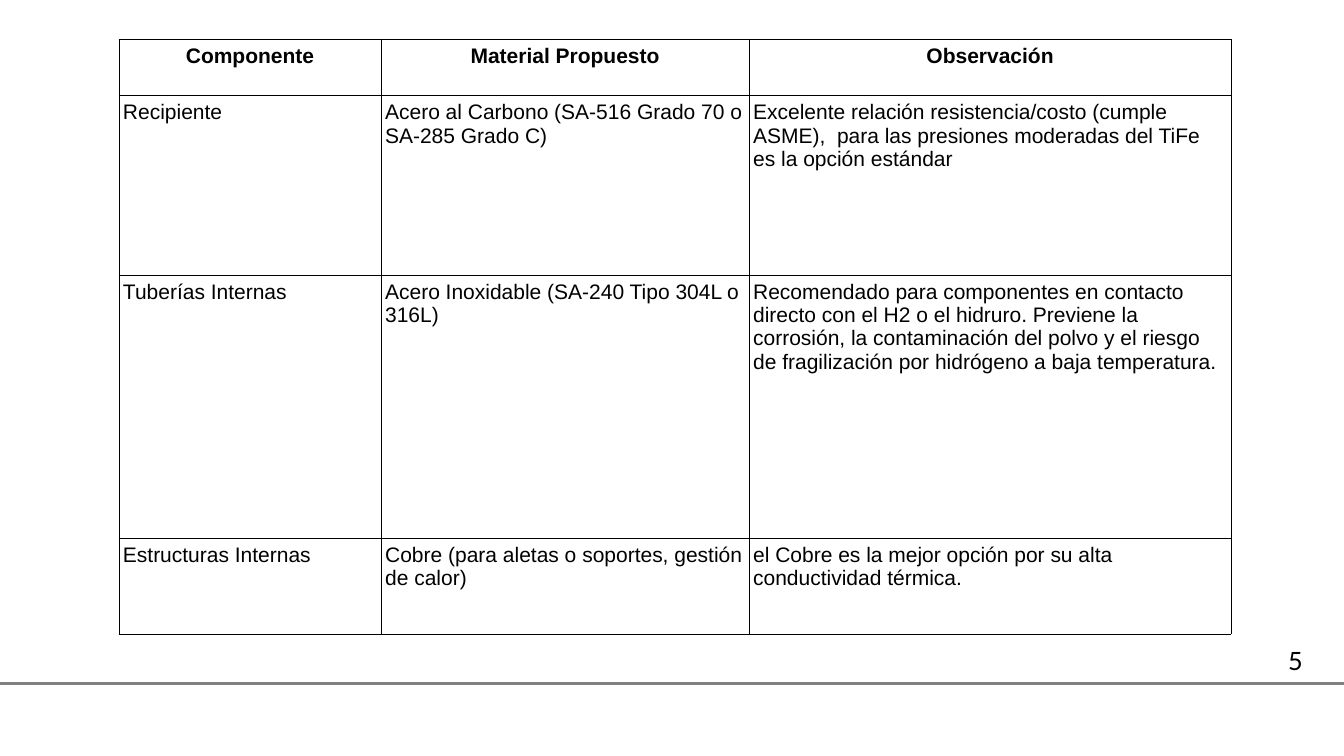
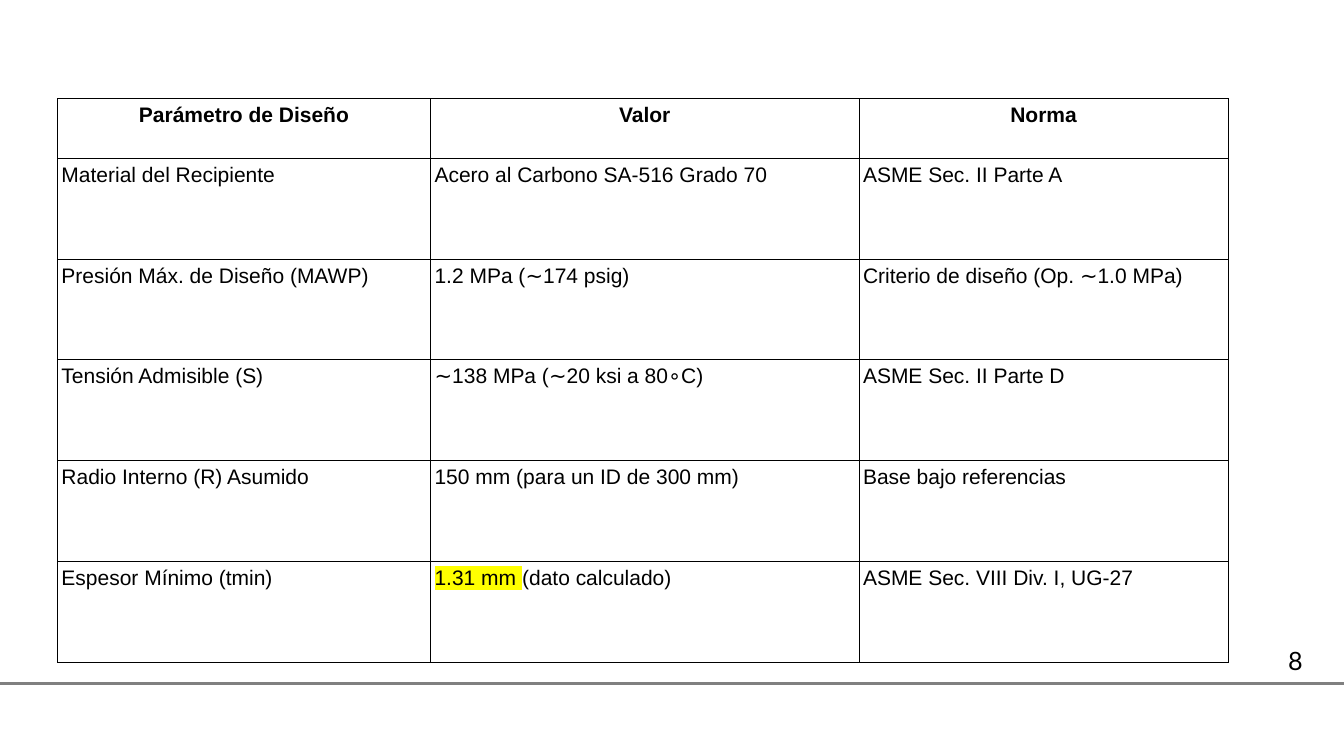
from dataclasses import dataclass

from lxml.etree import SubElement
from pptx import Presentation
from pptx.dml.color import RGBColor
from pptx.enum.text import PP_ALIGN
from pptx.oxml import parse_xml
from pptx.oxml.ns import nsdecls, qn
from pptx.util import Inches, Pt

WIDE, HIGH = 13.33, 7.5
BLACK, GRAY, YELLOW = "000000", "808080", "FFFF00"
RULE = 0.904
SIDES = ("lnL", "lnR", "lnT", "lnB")


@dataclass(frozen=True)
class Marked:
    lead: str
    rest: str


@dataclass(frozen=True)
class Grid:
    page: str
    left: float
    top: float
    cols: tuple[float, ...]
    rows: tuple[float, ...]
    cells: tuple[tuple[str | Marked, ...], ...]


GRIDS = (
    Grid("5", 1.18, 0.39, (2.6, 3.65, 4.78), (0.56, 1.78, 2.61, 0.95), (
        ("Componente", "Material Propuesto", "Observación"),
        ("Recipiente",
         "Acero al Carbono (SA-516 Grado 70 o SA-285 Grado C)",
         "Excelente relación resistencia/costo (cumple ASME),  para las "
         "presiones moderadas del TiFe es la opción estándar"),
        ("Tuberías Internas",
         "Acero Inoxidable (SA-240 Tipo 304L o 316L)",
         "Recomendado para componentes en contacto directo con el H2 o el "
         "hidruro. Previene la corrosión, la contaminación del polvo y el "
         "riesgo de fragilización por hidrógeno a baja temperatura."),
        ("Estructuras Internas",
         "Cobre (para aletas o soportes, gestión de calor)",
         "el Cobre es la mejor opción por su alta conductividad térmica."),
    )),
    Grid("8", 0.57, 0.98, (3.7, 4.25, 3.66), (0.59,) + (1,) * 5, (
        ("Parámetro de Diseño", "Valor", "Norma"),
        ("Material del Recipiente", "Acero al Carbono SA-516 Grado 70",
         "ASME Sec. II Parte A"),
        ("Presión Máx. de Diseño (MAWP)", "1.2 MPa (∼174 psig)",
         "Criterio de diseño (Op. ∼1.0 MPa)"),
        ("Tensión Admisible (S)", "∼138 MPa (∼20 ksi a 80∘C)",
         "ASME Sec. II Parte D"),
        ("Radio Interno (R) Asumido", "150 mm (para un ID de 300 mm)",
         "Base bajo referencias"),
        ("Espesor Mínimo (tmin)", Marked("1.31 mm ", "(dato calculado)"),
         "ASME Sec. VIII Div. I, UG-27"),
    )),
)


def color(code: str) -> RGBColor:
    return RGBColor.from_string(code)


def write(frame, text: str | Marked, *, font: str = "Arial", size: float = 15,
          bold: bool = False, align=PP_ALIGN.LEFT, after: float = 0) -> None:
    frame.word_wrap = True
    para = frame.paragraphs[0]
    para.alignment = align
    para.space_after = Pt(after)
    parts = (text.lead, text.rest) if isinstance(text, Marked) else (text,)
    for part in parts:
        run = para.add_run()
        run.text = part
        run.font.name = font
        run.font.size = Pt(size)
        run.font.bold = bold
        run.font.color.rgb = color(BLACK)
    if isinstance(text, Marked):
        props = para.runs[0].font._element
        props.find(qn("a:latin")).addprevious(parse_xml(
            f'<a:highlight {nsdecls("a")}><a:srgbClr val="{YELLOW}"/>'
            '</a:highlight>'))


def border(cell) -> None:
    props = cell._tc.get_or_add_tcPr()
    for spot, side in enumerate(SIDES):
        props.insert(spot, parse_xml(
            f'<a:{side} {nsdecls("a")} w="{Pt(0.57)}"><a:solidFill>'
            f'<a:srgbClr val="{BLACK}"/></a:solidFill></a:{side}>'))


def footer(slide, page: str) -> None:
    level = Inches(HIGH * RULE)
    line = slide.shapes.add_connector(1, 0, level, Inches(WIDE), level)
    line.line.color.rgb = color(GRAY)
    line.line.width = Pt(2)
    SubElement(line._element.spPr, qn("a:effectLst"))
    box = slide.shapes.add_textbox(
        Inches(WIDE * 0.951), Inches(HIGH * 0.847), Inches(0.66), Inches(0.44))
    write(box.text_frame, page, font="Lato", size=18)


def table(slide, grid: Grid) -> None:
    made = slide.shapes.add_table(
        len(grid.rows), len(grid.cols), Inches(grid.left), Inches(grid.top),
        Inches(sum(grid.cols)), Inches(sum(grid.rows))).table
    made.first_row = made.horz_banding = False
    for col, width in zip(made.columns, grid.cols):
        col.width = Inches(width)
    for row, height, texts in zip(made.rows, grid.rows, grid.cells):
        row.height = Inches(height)
        head = texts is grid.cells[0]
        for cell, text in zip(row.cells, texts):
            cell.fill.background()
            cell.margin_left = cell.margin_right = Inches(0.04)
            cell.margin_top = cell.margin_bottom = Inches(0.05)
            write(cell.text_frame, text, bold=head, after=4.5 if head else 0,
                  align=PP_ALIGN.CENTER if head else PP_ALIGN.LEFT)
            border(cell)


def main() -> None:
    deck = Presentation()
    deck.slide_width, deck.slide_height = Inches(WIDE), Inches(HIGH)
    for grid in GRIDS:
        slide = deck.slides.add_slide(deck.slide_layouts[6])
        footer(slide, grid.page)
        table(slide, grid)
    deck.save("out.pptx")


if __name__ == "__main__":
    main()
